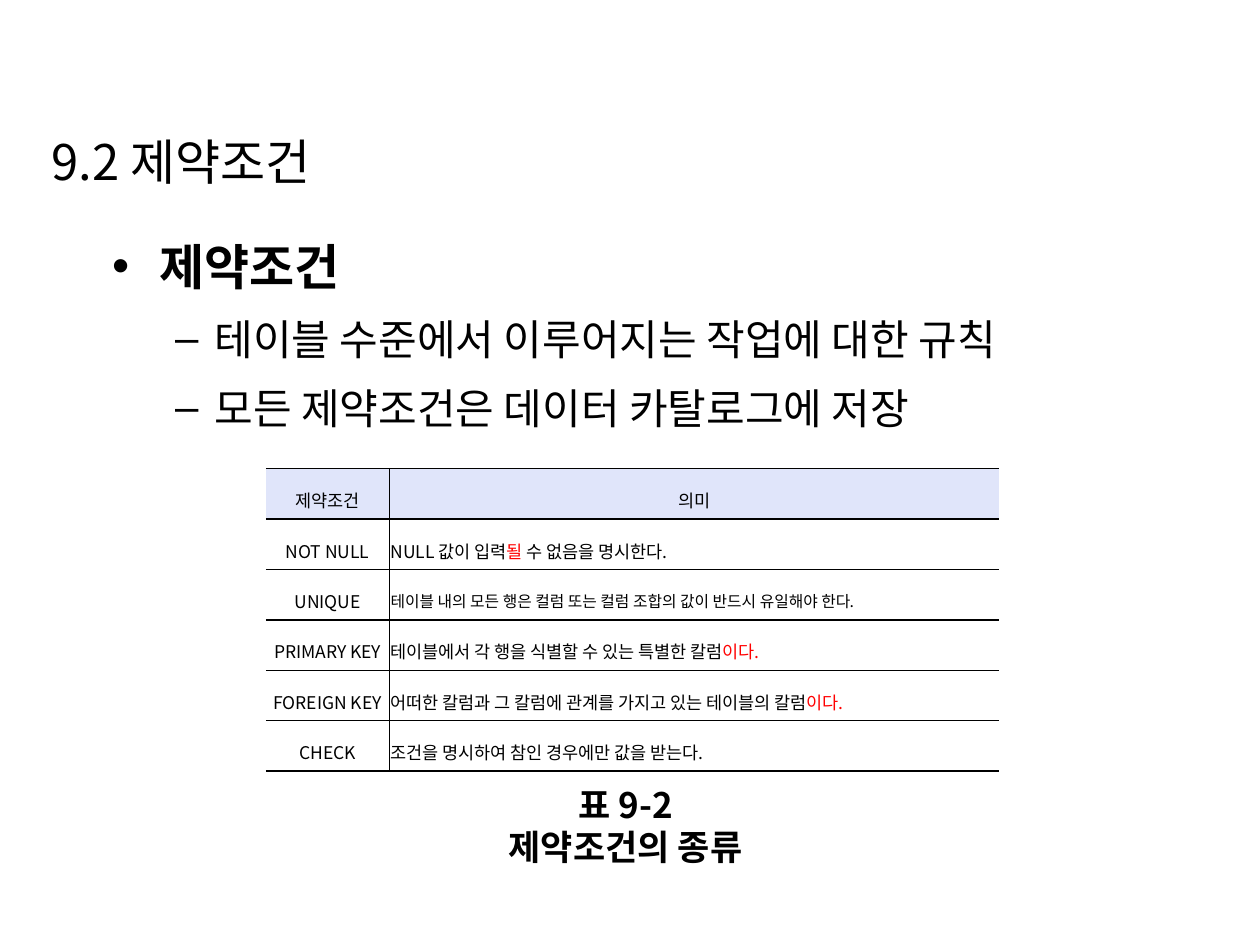
from lxml.etree import SubElement
from pptx import Presentation
from pptx.dml.color import RGBColor
from pptx.enum.text import MSO_ANCHOR as Anchor, MSO_AUTO_SIZE as AutoSize, PP_ALIGN as Align
from pptx.oxml.ns import qn
from pptx.oxml.xmlchemy import OxmlElement
from pptx.util import Inches, Pt

FONT = "Noto Sans CJK KR"
BLACK = RGBColor(0x00, 0x00, 0x00)
RED = RGBColor(0xFF, 0x00, 0x00)
HEADER_FILL = RGBColor(0xE0, 0xE5, 0xFA)
COLUMN_WIDTHS = (0.98, 4.84)
ROW_HEIGHT = 0.4
THIN, THICK = 1, 1.5

BULLETS = (
    (0, "제약조건", 28),
    (1, "테이블 수준에서 이루어지는 작업에 대한 규칙", 24),
    (1, "모든 제약조건은 데이터 카탈로그에 저장", 24),
)
HEADER = ("제약조건", "의미")
CONSTRAINTS = (
    ("NOT NULL", 10, (("NULL 값이 입력", BLACK), ("될", RED), (" 수 없음을 명시한다.", BLACK))),
    ("UNIQUE", 9, (("테이블 내의 모든 행은 컬럼 또는 컬럼 조합의 값이 반드시 유일해야 한다.", BLACK),)),
    ("PRIMARY KEY", 10, (("테이블에서 각 행을 식별할 수 있는 특별한 칼럼", BLACK), ("이다.", RED))),
    ("FOREIGN KEY", 10, (("어떠한 칼럼과 그 칼럼에 관계를 가지고 있는 테이블의 칼럼", BLACK), ("이다.", RED))),
    ("CHECK", 10, (("조건을 명시하여 참인 경우에만 값을 받는다.", BLACK),)),
)
CAPTION = ("표 9-2", "제약조건의 종류")


def add_run(paragraph, text, size, color=BLACK, bold=False):
    run = paragraph.add_run()
    run.text = text
    font = run.font
    font.size, font.bold, font.name = Pt(size), bold, FONT
    font.color.rgb = color
    east_asian = OxmlElement("a:ea")
    east_asian.set("typeface", FONT)
    run._r.get_or_add_rPr().find(qn("a:latin")).addnext(east_asian)


def get_paragraph(frame, index):
    return frame.add_paragraph() if index else frame.paragraphs[0]


def place(shape, left, top, width, height):
    shape.left, shape.top = Inches(left), Inches(top)
    shape.width, shape.height = Inches(width), Inches(height)


def fill_title(title):
    place(title, 0.31, 0.99, 2.43, 0.57)
    frame = title.text_frame
    frame.word_wrap = False
    frame.auto_size = AutoSize.SHAPE_TO_FIT_TEXT
    frame.vertical_anchor = Anchor.TOP
    paragraph = frame.paragraphs[0]
    paragraph.alignment = Align.LEFT
    add_run(paragraph, "9.2 제약조건", 28)


def fill_body(body):
    place(body, 0.79, 1.73, 8.98, 1.8)
    frame = body.text_frame
    frame.auto_size = AutoSize.SHAPE_TO_FIT_TEXT
    for index, (level, text, size) in enumerate(BULLETS):
        paragraph = get_paragraph(frame, index)
        paragraph.level = level
        paragraph.line_spacing = 1.2
        if index == 0:
            paragraph.space_before = Pt(0)
        add_run(paragraph, text, size, bold=level == 0)


def set_borders(cell, widths):
    properties = cell._tc.get_or_add_tcPr()
    for index, (side, width) in enumerate(zip("LRTB", widths)):
        line = OxmlElement(f"a:ln{side}")
        line.set("w", str(Pt(width)))
        if width:
            fill = SubElement(line, qn("a:solidFill"))
            SubElement(fill, qn("a:srgbClr")).set("val", str(BLACK))
        else:
            SubElement(line, qn("a:noFill"))
        properties.insert(index, line)


def fill_cell(cell, row, column, runs, size):
    cell.margin_left = cell.margin_right = cell.margin_top = cell.margin_bottom = Inches(0.01)
    cell.vertical_anchor = Anchor.MIDDLE
    paragraph = cell.text_frame.paragraphs[0]
    paragraph.alignment = Align.JUSTIFY if row and column else Align.CENTER
    paragraph.line_spacing = 1.5
    for text, color in runs:
        add_run(paragraph, text, size, color)
    if row == 0:
        cell.fill.solid()
        cell.fill.fore_color.rgb = HEADER_FILL
    else:
        cell.fill.background()
    left, right = (THIN, 0) if column else (0, THIN)
    top = THICK if row == 1 else THIN
    bottom = THICK if row == 0 else THIN
    set_borders(cell, (left, right, top, bottom))


def add_constraint_table(slide):
    row_count = len(CONSTRAINTS) + 1
    table = slide.shapes.add_table(
        row_count, len(COLUMN_WIDTHS), Inches(2.11), Inches(3.72),
        Inches(sum(COLUMN_WIDTHS)), Inches(ROW_HEIGHT * row_count),
    ).table
    table.first_row = table.horz_banding = False
    for column, width in zip(table.columns, COLUMN_WIDTHS):
        column.width = Inches(width)
    for column, text in enumerate(HEADER):
        fill_cell(table.cell(0, column), 0, column, ((text, BLACK),), 10)
    for row, (name, size, meaning) in enumerate(CONSTRAINTS, 1):
        fill_cell(table.cell(row, 0), row, 0, ((name, BLACK),), 10)
        fill_cell(table.cell(row, 1), row, 1, meaning, size)


def add_caption(slide):
    box = slide.shapes.add_textbox(Inches(3.05), Inches(6.17), Inches(3.83), Inches(0.76))
    frame = box.text_frame
    frame.word_wrap = False
    frame.vertical_anchor = Anchor.MIDDLE
    for index, text in enumerate(CAPTION):
        paragraph = get_paragraph(frame, index)
        paragraph.alignment = Align.CENTER
        add_run(paragraph, text, 20, bold=True)


def main():
    presentation = Presentation()
    presentation.slide_width, presentation.slide_height = Inches(10), Inches(7.5)
    slide = presentation.slides.add_slide(presentation.slide_layouts[1])
    fill_title(slide.shapes.title)
    fill_body(slide.placeholders[1])
    add_constraint_table(slide)
    add_caption(slide)
    presentation.save("out.pptx")


if __name__ == "__main__":
    main()
